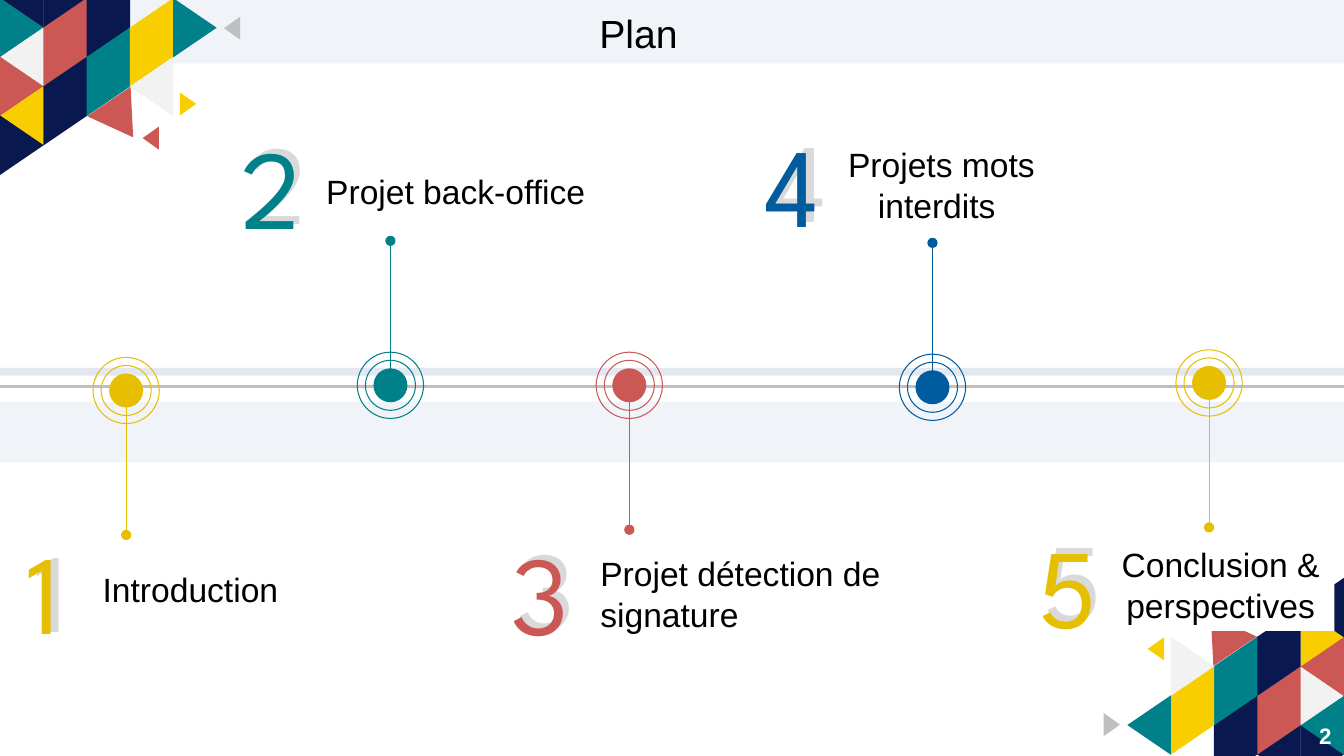
import pptx
import pptx.dml.color
import pptx.enum.shapes
import pptx.enum.text
import pptx.oxml.ns
import pptx.util
from lxml import etree

Cm = pptx.util.Cm
Pt = pptx.util.Pt
SHAPE = pptx.enum.shapes.MSO_SHAPE
ALIGN = pptx.enum.text.PP_ALIGN
qn = pptx.oxml.ns.qn

COLORS = {
    "navy": "09194F", "teal": "00818A", "red": "CC5856", "yellow": "F9CE00",
    "gold": "E6C000", "blue": "015C9F", "light": "F2F2F2", "grey": "BFBFBF",
    "shade": "D9D9D9", "band": "DBE1ED", "white": "FFFFFF", "black": "000000",
}
WIDTH, HEIGHT = 33.87, 19.05

MOSAIC_COLUMNS = [
    ["navy", "teal", "light", "red", "yellow", "navy"],
    ["navy", "red", "red", "navy", "navy"],
    ["navy", "navy", "teal", "teal"],
    [None, "yellow", "yellow", "light"],
    [None, "teal"],
]
SCRAPS = [
    (3.05, 3.01, 1.32, 1.09, 145.9, "red"),
    (5.85, 0.71, 0.58, 0.41, 270, "grey"),
    (4.74, 2.62, 0.58, 0.41, 90, "yellow"),
]
LONE_SCRAP = (3.8, 3.48, 0.58, 0.41, 270, "red")

MARKERS = [
    (3.18, 9.84, 1, "gold"),
    (9.84, 9.71, -1, "teal"),
    (15.86, 9.71, 1, "red"),
    (23.5, 9.76, -1, "blue"),
    (30.47, 9.65, 1, "gold"),
]
NUMERALS = [
    ("1", 0.43, 13.03, 2.9, 0.2, -0.05, "gold"),
    ("2", 5.84, 2.84, 2.51, 0.15, -0.13, "teal"),
    ("3", 12.65, 13.08, 1.55, 0.13, -0.13, "red"),
    ("4", 19.02, 2.79, 1.55, 0.2, -0.13, "blue"),
    ("5", 25.91, 12.88, 2.9, 0.15, -0.13, "gold"),
]
LABELS = [
    ("Introduction", 0.43, 14.22, 8.74, 1.27, ALIGN.CENTER),
    ("Projet back-office", 7.75, 4.19, 7.47, 1.27, ALIGN.CENTER),
    ("Projet détection de signature", 14.88, 13.82, 9.19, 2.31, ALIGN.LEFT),
    ("Projets mots interdits ", 19.99, 3.51, 7.47, 2.31, ALIGN.CENTER),
    ("Conclusion & perspectives", 27.89, 13.59, 5.74, 2.31, ALIGN.CENTER),
]


def rgb(name):
    return pptx.dml.color.RGBColor.from_string(COLORS[name])


def add_preset(shapes, preset, left, top, width, height, fill=None, line=None, alpha=None):
    shape = shapes.add_shape(preset, Cm(left), Cm(top), Cm(width), Cm(height))
    shape.shadow.inherit = False
    if fill:
        shape.fill.solid()
        shape.fill.fore_color.rgb = rgb(fill)
    else:
        shape.fill.background()
    if line:
        shape.line.color.rgb = rgb(line)
        shape.line.width = Pt(0.75)
    else:
        shape.line.fill.background()
    if alpha:
        tint = shape.fill._xPr.find(".//" + qn("a:srgbClr"))
        etree.SubElement(tint, qn("a:alpha")).set("val", str(alpha * 1000))
    return shape


def add_line(shapes, start, end, color, weight):
    line = shapes.add_connector(
        pptx.enum.shapes.MSO_CONNECTOR.STRAIGHT, *[Cm(v) for v in (*start, *end)])
    line.line.color.rgb = rgb(color)
    line.line.width = Pt(weight)
    etree.SubElement(line.element.spPr, qn("a:effectLst"))


def write(shape, text, size=24, color="black", font="Arial", align=ALIGN.LEFT, bold=False):
    frame = shape.text_frame
    frame.word_wrap = True
    frame.auto_size = pptx.enum.text.MSO_AUTO_SIZE.NONE
    frame.vertical_anchor = pptx.enum.text.MSO_ANCHOR.TOP
    frame.text = text
    paragraph = frame.paragraphs[0]
    paragraph.alignment = align
    paragraph.line_spacing = 1.0
    paragraph.space_before = Pt(0)
    run_font = paragraph.runs[0].font
    run_font.name = font
    run_font.size = Pt(size)
    run_font.bold = bold
    run_font.color.rgb = rgb(color)


def add_text(shapes, text, left, top, width, height, **style):
    write(shapes.add_textbox(Cm(left), Cm(top), Cm(width), Cm(height)), text, **style)


def add_triangle(shapes, x, y, base, depth, angle, color):
    triangle = add_preset(
        shapes, SHAPE.ISOSCELES_TRIANGLE, x - base / 2, y - depth / 2, base, depth, color)
    triangle.rotation = angle


def add_mosaic(slide, scraps, turned=False):
    mosaic = slide.shapes.add_group_shape().shapes
    pieces = [
        (0.55 + 1.09 * column, -0.04 + 0.74 * row, 1.5, 1.1,
         90 if (row + column) % 2 else 270, color)
        for column, colors in enumerate(MOSAIC_COLUMNS)
        for row, color in enumerate(colors) if color
    ]
    for x, y, base, depth, angle, color in pieces + scraps:
        if turned:
            x, y, angle = WIDTH - x, 18.97 - y, (angle + 180) % 360
        add_triangle(mosaic, x, y, base, depth, angle, color)


def add_circle(shapes, x, y, diameter, color, filled):
    add_preset(shapes, SHAPE.OVAL, x - diameter / 2, y - diameter / 2,
               diameter, diameter, color if filled else None, color)


def add_marker(slide, x, y, direction, color):
    marker = slide.shapes.add_group_shape().shapes
    for diameter, filled in ((1.67, False), (1.26, False), (0.83, True)):
        add_circle(marker, x, y, diameter, color, filled)
    add_line(marker, (x, y + direction * 0.42), (x, y + direction * 3.56), color, 0.5)
    add_circle(marker, x, y + direction * 3.64, 0.23, color, True)


def add_numeral(slide, digit, left, top, width, shift_x, shift_y, color):
    numeral = slide.shapes.add_group_shape().shapes
    for x, y, tone in ((left + shift_x, top + shift_y, "shade"), (left, top, color)):
        add_text(numeral, digit, x, y, width, 4.32,
                 size=80, color=tone, font="League Spartan")


def add_band(slide, top, height, alpha):
    add_preset(slide.shapes, SHAPE.RECTANGLE, 0, top, WIDTH, height, "band", alpha=alpha)


def add_title(slide, text):
    title = slide.shapes.title
    title.left, title.top, title.width, title.height = Cm(8.51), Cm(0.1), Cm(15.16), Cm(1.45)
    write(title, text, size=28, align=ALIGN.CENTER)
    slide.shapes.element.append(title.element)


def main():
    deck = pptx.Presentation()
    deck.slide_width, deck.slide_height = Cm(WIDTH), Cm(HEIGHT)
    slide = deck.slides.add_slide(deck.slide_layouts[5])

    add_band(slide, 9.27, 0.2, 80)
    add_band(slide, 10.13, 1.52, 40)
    add_line(slide.shapes, (0, 9.73), (WIDTH, 9.73), "grey", 2.25)
    for marker in MARKERS:
        add_marker(slide, *marker)

    add_mosaic(slide, SCRAPS, turned=True)
    add_preset(slide.shapes, SHAPE.RECTANGLE, *LABELS[-1][1:5], fill="white")
    for text, left, top, width, height, align in LABELS:
        add_text(slide.shapes, text, left, top, width, height, align=align)
    for numeral in NUMERALS:
        add_numeral(slide, *numeral)

    add_band(slide, 0, 1.6, 40)
    add_title(slide, "Plan")
    add_mosaic(slide, SCRAPS + [LONE_SCRAP])
    add_text(slide.shapes, "2", 32.69, 18.06, 1.12, 0.94,
             size=16, color="white", align=ALIGN.RIGHT, bold=True)
    deck.save("out.pptx")


if __name__ == "__main__":
    main()
